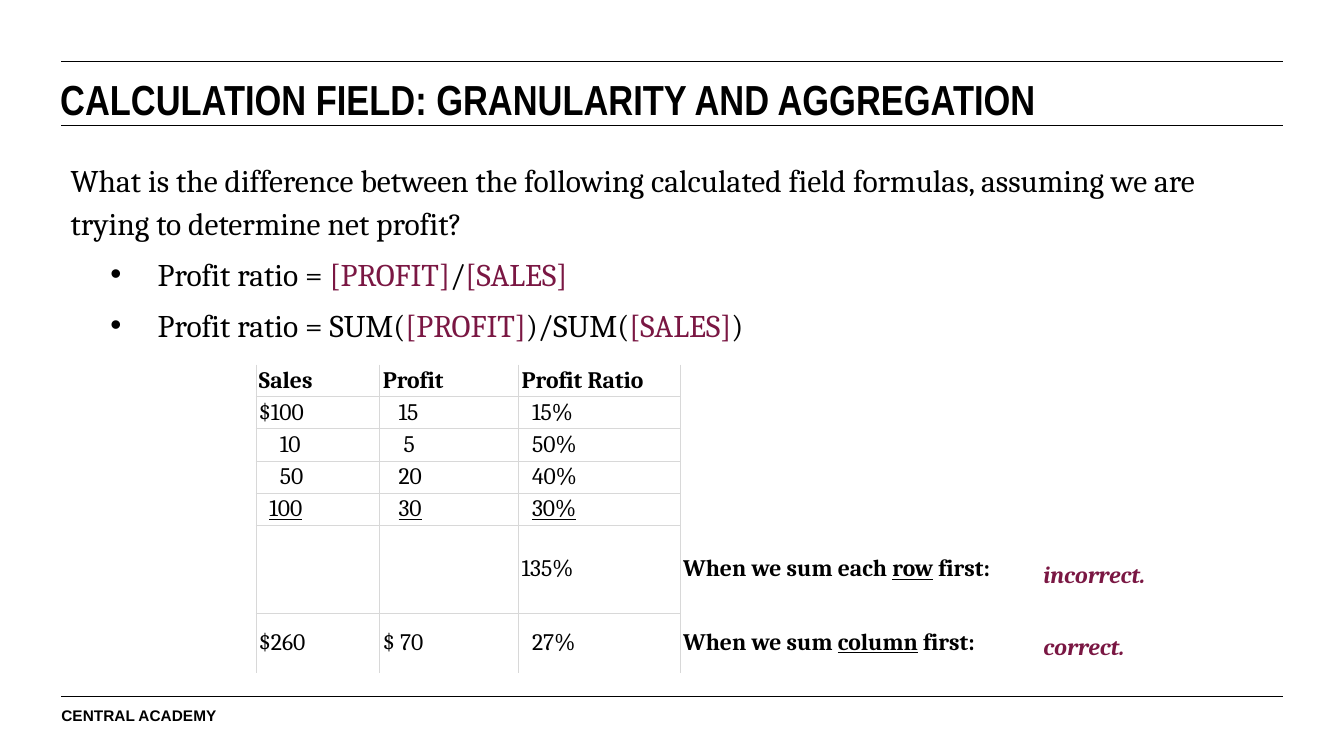
from dataclasses import dataclass

from lxml.etree import SubElement
from pptx import Presentation
from pptx.dml.color import RGBColor
from pptx.enum.text import MSO_ANCHOR as Anchor
from pptx.oxml import parse_xml
from pptx.oxml.ns import nsdecls, qn
from pptx.util import Cm, Pt

BLACK = RGBColor(0x00, 0x00, 0x00)
PLUM = RGBColor(0x7A, 0x17, 0x43)
GRID = RGBColor(0xD8, 0xD8, 0xD8)
NO_STYLE = "{2D5ABB26-0587-4C30-8999-92F81FD0307C}"
DIGIT_PAD = 0.14  # cm, the step that lines up the figures


@dataclass(frozen=True)
class Span:
    text: str
    color: RGBColor = BLACK
    bold: bool = False
    italic: bool = False
    underline: bool = False
    size: float = 18
    font: str = "Cambria"


@dataclass(frozen=True)
class Box:
    left: float
    top: float
    width: float
    height: float

    def lengths(self) -> tuple:
        return Cm(self.left), Cm(self.top), Cm(self.width), Cm(self.height)


@dataclass(frozen=True)
class Figure:
    text: str
    pad: int = 0
    underline: bool = False


def add_spans(paragraph, spans: list[Span]) -> None:
    for span in spans:
        run = paragraph.add_run()
        run.text = span.text
        font = run.font
        font.name, font.size = span.font, Pt(span.size)
        font.bold, font.italic, font.underline = span.bold, span.italic, span.underline
        font.color.rgb = span.color


def add_text(slide, box: Box, margins: tuple[float, float], anchor=Anchor.TOP):
    frame = slide.shapes.add_textbox(*box.lengths()).text_frame
    frame.word_wrap = True
    frame.vertical_anchor = anchor
    frame.margin_left = frame.margin_right = Cm(margins[0])
    frame.margin_top = frame.margin_bottom = Cm(margins[1])
    return frame


def add_rule(slide, y: float) -> None:
    rule = slide.shapes.add_connector(1, Cm(1.65), Cm(y), Cm(34.49), Cm(y))
    rule.line.color.rgb = BLACK
    rule.line.width = Pt(0.75)
    SubElement(rule._element.spPr, qn("a:effectLst"))


def add_bullet(paragraph) -> None:
    props = paragraph._p.get_or_add_pPr()
    props.set("marL", str(Cm(2.34)))
    props.set("indent", str(-Cm(1.27)))
    color = SubElement(props, qn("a:buClr"))
    SubElement(color, qn("a:srgbClr")).set("val", str(BLACK))
    SubElement(props, qn("a:buFont")).set("typeface", "Arial")
    SubElement(props, qn("a:buChar")).set("char", "•")


def add_tab(paragraph, position: float) -> None:
    tabs = SubElement(paragraph._p.get_or_add_pPr(), qn("a:tabLst"))
    tab = SubElement(tabs, qn("a:tab"))
    tab.set("pos", str(Cm(position)))
    tab.set("algn", "l")


def add_plain_table(slide, left: float, top: float, widths: list[float],
                    heights: list[float], margins: tuple[float, float], anchor):
    box = Box(left, top, sum(widths), sum(heights))
    table = slide.shapes.add_table(len(heights), len(widths), *box.lengths()).table
    table.first_row = table.horz_banding = False
    table._tbl.tblPr.find(qn("a:tableStyleId")).text = NO_STYLE
    for column, width in zip(table.columns, widths):
        column.width = Cm(width)
    for row, height in zip(table.rows, heights):
        row.height = Cm(height)
    for cell in table.iter_cells():
        cell.fill.background()
        cell.vertical_anchor = anchor
        cell.margin_left = cell.margin_right = Cm(margins[0])
        cell.margin_top = cell.margin_bottom = Cm(margins[1])
    return table


def add_borders(cell, sides: str) -> None:
    props = cell._tc.get_or_add_tcPr()
    for place, side in enumerate(sides):
        props.insert(place, parse_xml(
            f'<a:ln{side} {nsdecls("a")} w="{Pt(0.75)}"><a:solidFill>'
            f'<a:srgbClr val="{GRID}"/></a:solidFill></a:ln{side}>'))


# Content
QUESTION = ("What is the difference between the following calculated field formulas, "
            "assuming we are trying to determine net profit?")
FORMULAS = [
    [("Profit ratio = ", BLACK), ("[PROFIT]", PLUM), ("/", BLACK), ("[SALES]", PLUM)],
    [("Profit ratio = SUM(", BLACK), ("[PROFIT]", PLUM), (")/SUM(", BLACK),
     ("[SALES]", PLUM), (")", BLACK)],
]
FIGURES = [
    [Figure("Sales"), Figure("Profit"), Figure("Profit Ratio")],
    [Figure("$100"), Figure("15", 3), Figure("15%", 2)],
    [Figure("10", 4), Figure("5", 4), Figure("50%", 2)],
    [Figure("50", 4), Figure("20", 3), Figure("40%", 2)],
    [Figure("100", 2, True), Figure("30", 3, True), Figure("30%", 2, True)],
    [Figure(""), Figure(""), Figure("135%")],
    [Figure("$260"), Figure("$ 70"), Figure("27%", 2)],
]
REMARKS = {5: ("When we sum each ", "row"), 6: ("When we sum ", "column")}
VERDICTS = ["incorrect.", "correct."]


def add_ratio_table(slide) -> None:
    heights = [0.84] * 5 + [2.36, 1.6]
    table = add_plain_table(slide, 6.88, 9.8, [3.33, 3.73, 4.34, 5.61, 4.27, 1.07],
                            heights, (0.08, 0.05), Anchor.MIDDLE)
    last_row, last_column = len(FIGURES) - 1, len(FIGURES[0]) - 1
    for r, figures in enumerate(FIGURES):
        for c, figure in enumerate(figures):
            cell = table.cell(r, c)
            add_borders(cell, "L" + "R" * (c < last_column)
                        + "T" * (r > 0) + "B" * (r < last_row))
            if not figure.text:
                continue
            paragraph = cell.text_frame.paragraphs[0]
            if figure.pad:
                add_tab(paragraph, figure.pad * DIGIT_PAD)
            lead = "\t" if figure.pad else ""
            add_spans(paragraph, [Span(lead + figure.text, bold=r == 0,
                                       underline=figure.underline)])
    for r, (opening, unit) in REMARKS.items():
        remark = table.cell(r, 3)
        remark.merge(table.cell(r, 5))
        add_spans(remark.text_frame.paragraphs[0],
                  [Span(opening, bold=True), Span(unit, bold=True, underline=True),
                   Span(" first:", bold=True)])


def main() -> None:
    deck = Presentation()
    deck.slide_width, deck.slide_height = Cm(36.12), Cm(20.29)
    slide = deck.slides.add_slide(deck.slide_layouts[6])

    # Footer and rules
    footer = add_text(slide, Box(1.27, 18.72, 34.24, 1.22), (0.38, 0.38))
    add_spans(footer.paragraphs[0],
              [Span("CENTRAL ACADEMY", bold=True, size=11.7, font="Arial")])
    for y in (1.65, 3.38, 18.72):
        add_rule(slide, y)

    # Question and formulas
    body = add_text(slide, Box(1.65, 4.06, 32.33, 14.2), (0.25, 0.13))
    question = body.paragraphs[0]
    question.line_spacing = 1.14
    add_spans(question, [Span(QUESTION, size=24)])
    for formula in FORMULAS:
        line = body.add_paragraph()
        add_bullet(line)
        line.line_spacing = 1.14
        line.space_before = Pt(6)
        add_spans(line, [Span(text, color, size=24) for text, color in formula])

    # Title
    title = add_text(slide, Box(1.37, 1.65, 32.89, 2.01), (0.25, 0.13), Anchor.MIDDLE)
    add_spans(title.paragraphs[0],
              [Span("CALCULATION FIELD: GRANULARITY AND AGGREGATION",
                    bold=True, size=32, font="Arial Narrow")])

    # Tables
    add_ratio_table(slide)
    verdicts = add_plain_table(slide, 27.79, 14.86, [4.52], [1.93, 1.7],
                               (0.25, 0.25), Anchor.TOP)
    for r, verdict in enumerate(VERDICTS):
        add_spans(verdicts.cell(r, 0).text_frame.paragraphs[0],
                  [Span(verdict, PLUM, bold=True, italic=True)])

    deck.save("out.pptx")


if __name__ == "__main__":
    main()
